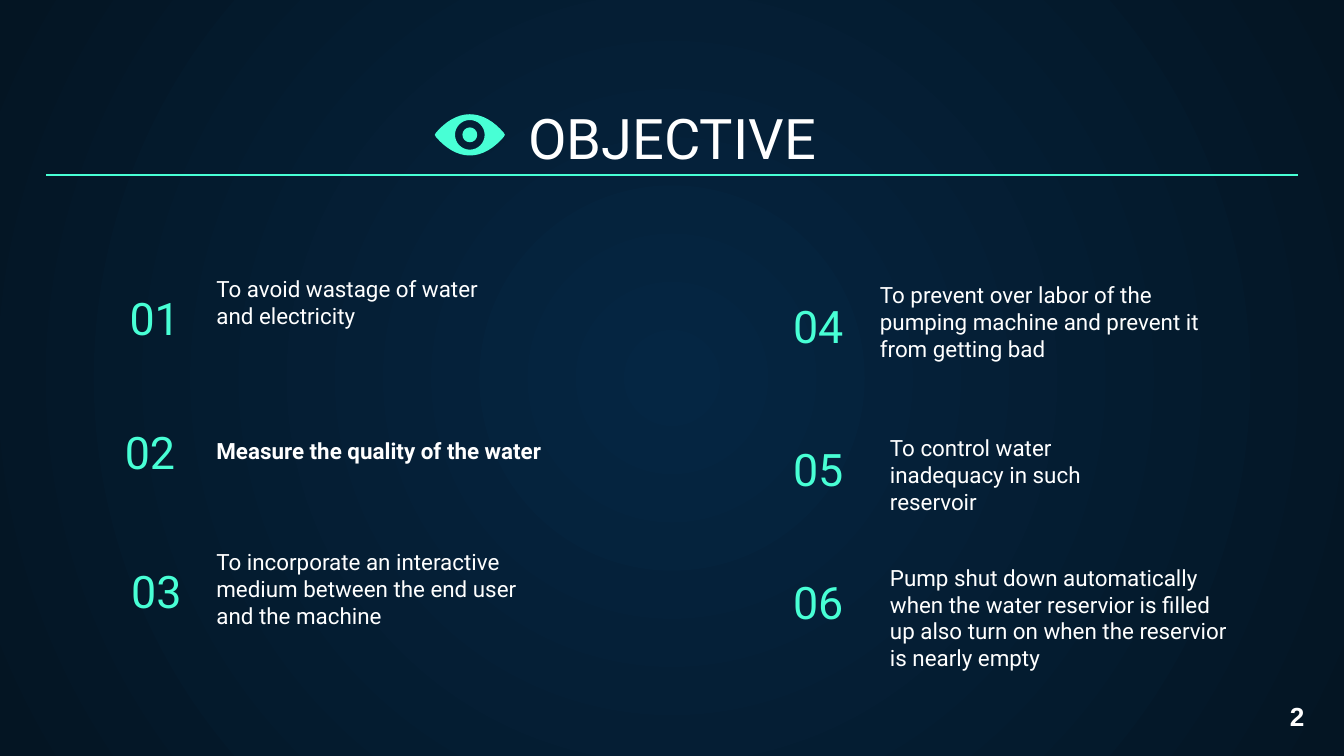
from dataclasses import dataclass

from lxml import etree
from pptx import Presentation
from pptx.dml.color import RGBColor
from pptx.enum.shapes import MSO_CONNECTOR
from pptx.enum.text import MSO_ANCHOR, PP_ALIGN
from pptx.oxml.ns import qn
from pptx.util import Cm, Pt

STRAIGHT = MSO_CONNECTOR.STRAIGHT
TOP, BOTTOM = MSO_ANCHOR.TOP, MSO_ANCHOR.BOTTOM
LEFT, CENTER, RIGHT = PP_ALIGN.LEFT, PP_ALIGN.CENTER, PP_ALIGN.RIGHT


@dataclass(frozen=True)
class Theme:
    accent: RGBColor = RGBColor.from_string("48FFD5")
    text: RGBColor = RGBColor.from_string("FFFFFF")
    glow: RGBColor = RGBColor.from_string("052643")
    night: RGBColor = RGBColor.from_string("041523")
    font: str = "Roboto"
    page_font: str = "Arial"
    title_size: int = 30
    number_size: int = 24
    body_size: int = 12
    page_size: int = 14


def circle(radius):
    """Return the start and control points of four Bezier quarter arcs."""
    handle = 0.55 * radius
    points = [(radius, 0)]
    x, y = 1, 0
    for _ in range(4):
        next_x, next_y = -y, x
        points += [
            (x * radius + next_x * handle, y * radius + next_y * handle),
            (next_x * radius + x * handle, next_y * radius + y * handle),
            (next_x * radius, next_y * radius),
        ]
        x, y = next_x, next_y
    return points


def almond():
    """Return the start and control points of a lens with blunt tips."""
    upper = [(-0.64, -0.04), (-0.46, -0.25), (-0.24, -0.39), (0, -0.39),
             (0.24, -0.39), (0.46, -0.25), (0.64, -0.04),
             (0.67, -0.01), (0.67, 0.01)]
    lower = [(-x, -y) for x, y in upper]
    return upper + lower + upper[:1]


def curve_outline(shape):
    """Turn every three line segments into one cubic Bezier segment."""
    segments = list(shape.element.iter(qn("a:lnTo")))
    for first, second, third in zip(segments[::3], segments[1::3], segments[2::3]):
        curve = etree.Element(qn("a:cubicBezTo"))
        first.addprevious(curve)
        for segment in (first, second, third):
            curve.append(segment[0])
            segment.getparent().remove(segment)


class SlideBuilder:
    def __init__(self, slide, theme):
        self.slide = slide
        self.theme = theme

    def radial_background(self):
        fill = self.slide.background.fill
        fill.gradient()
        for stop, color, position in zip(
                fill.gradient_stops, (self.theme.glow, self.theme.night), (0, 1)):
            stop.color.rgb = color
            stop.position = position
        linear = next(self.slide.element.iter(qn("a:lin")))
        radial = etree.Element(qn("a:path"), {"path": "circle"})
        etree.SubElement(radial, qn("a:fillToRect"),
                         {side: "50000" for side in "ltrb"})
        linear.getparent().replace(linear, radial)

    def text(self, content, box, size, color=None, align=LEFT, anchor=BOTTOM,
             bold=False, font=None, vertical_inset=0.25):
        shape = self.slide.shapes.add_textbox(*map(Cm, box))
        frame = shape.text_frame
        frame.word_wrap = True
        frame.vertical_anchor = anchor
        frame.margin_left = frame.margin_right = Cm(0.25)
        frame.margin_top = frame.margin_bottom = Cm(vertical_inset)
        frame.text = content
        paragraph = frame.paragraphs[0]
        paragraph.alignment = align
        for run in paragraph.runs:
            run.font.name = font or self.theme.font
            run.font.size = Pt(size)
            run.font.bold = bold
            run.font.color.rgb = color or self.theme.text

    def rule(self, left, right, top):
        line = self.slide.shapes.add_connector(
            STRAIGHT, Cm(left), Cm(top), Cm(right), Cm(top))
        line.line.color.rgb = self.theme.accent
        line.line.width = Pt(0.75)
        etree.SubElement(line.element.spPr, qn("a:effectLst"))

    def eye(self, center_x, center_y):
        builder = None
        for contour in (circle(0.14), circle(0.28), almond()):
            points = [(Cm(center_x + x), Cm(center_y + y)) for x, y in contour]
            if builder is None:
                builder = self.slide.shapes.build_freeform(*points[0])
            else:
                builder.move_to(*points[0])
            builder.add_line_segments(points[1:], close=True)
        shape = builder.convert_to_shape()
        curve_outline(shape)
        shape.shadow.inherit = False
        shape.fill.solid()
        shape.fill.fore_color.rgb = self.theme.accent
        shape.line.fill.background()

    def objective(self, number, number_place, number_align, content, box, bold=False):
        self.text(number, (*number_place, 3.28, 1.68), self.theme.number_size,
                  self.theme.accent, number_align)
        self.text(content, box, self.theme.body_size, bold=bold)


OBJECTIVES = [
    ((2.2, 5.09), LEFT, "To avoid wastage of water and electricity",
     (3.84, 5.68, 5.77, 0.79)),
    ((2.11, 7.62), LEFT, "Measure the quality of the water",
     (3.84, 7.7, 6.91, 1.32)),
    ((2.23, 10.24), LEFT,
     "To incorporate an interactive medium between the end user and the machine",
     (3.84, 10.82, 6.91, 1.32)),
    ((12.91, 5.23), RIGHT,
     "To prevent over labor of the pumping machine and prevent it from getting bad",
     (16.38, 5.77, 6.91, 1.32)),
    ((12.91, 7.93), RIGHT, "To control water inadequacy in such reservoir",
     (16.57, 7.98, 5.46, 2.01)),
    ((12.91, 10.45), RIGHT,
     "Pump shut down automatically when the water reservior is filled up "
     "also turn on when the reservior is nearly empty",
     (16.57, 10.4, 6.91, 2.54)),
]
EMPHASIZED = 2


def main():
    presentation = Presentation()
    presentation.slide_width = Cm(25.4)
    presentation.slide_height = Cm(14.29)
    theme = Theme()
    builder = SlideBuilder(
        presentation.slides.add_slide(presentation.slide_layouts[6]), theme)

    builder.radial_background()
    builder.text("OBJECTIVE", (0.87, 1.79, 23.67, 1.68), theme.title_size, align=CENTER)
    builder.eye(8.88, 2.55)
    builder.rule(0.87, 24.53, 3.31)
    for index, (place, align, content, box) in enumerate(OBJECTIVES, start=1):
        builder.objective(f"{index:02}", place, align, content, box,
                          bold=index == EMPHASIZED)
    builder.text("2", (24.13, 13.11, 0.81, 0.86), theme.page_size, anchor=TOP,
                 bold=True, font=theme.page_font, vertical_inset=0.13)
    presentation.save("out.pptx")


if __name__ == "__main__":
    main()
